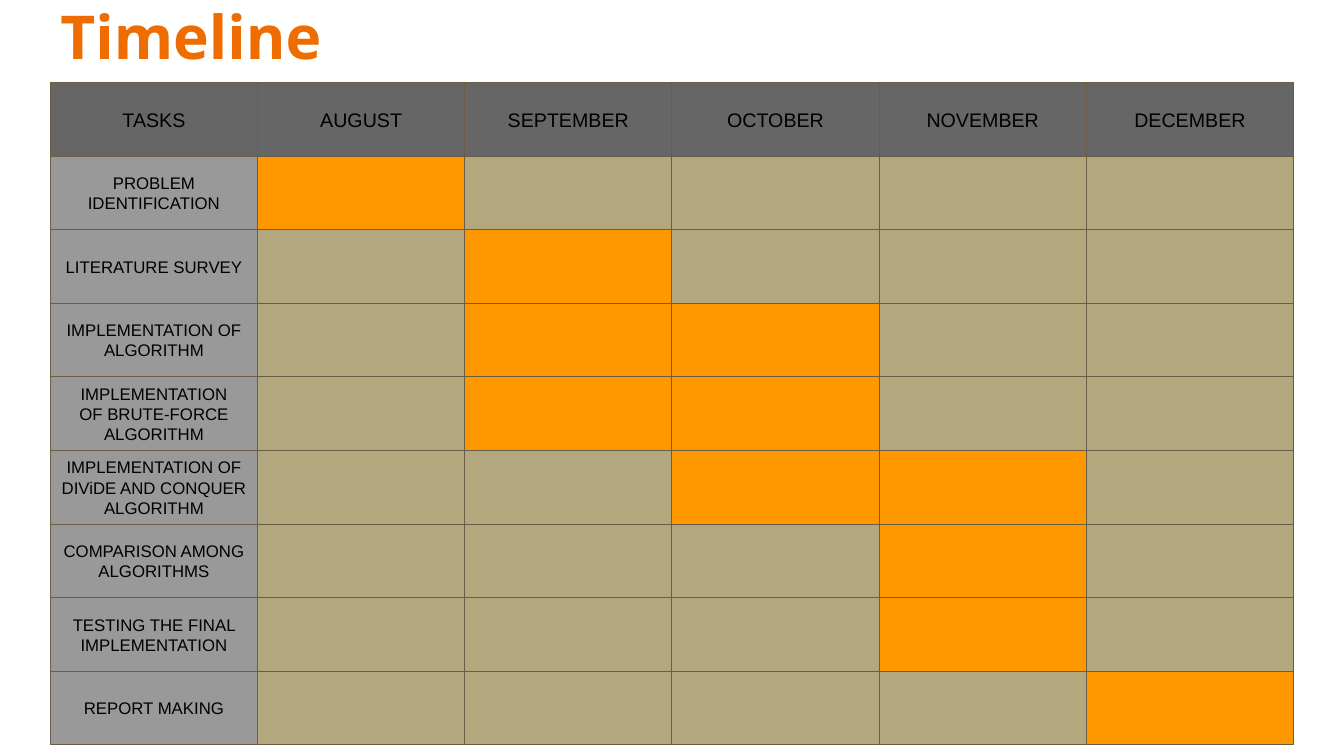
from dataclasses import dataclass

from pptx import Presentation
from pptx.dml.color import RGBColor as Rgb
from pptx.enum.shapes import MSO_SHAPE as Shape
from pptx.enum.text import MSO_ANCHOR as Anchor, PP_ALIGN as Align
from pptx.util import Inches, Pt


@dataclass(frozen=True)
class Theme:
    """Colours, fonts and type sizes of the slide."""
    title: str = "EF6C00"
    head: str = "666666"
    task: str = "999999"
    busy: str = "FF9800"
    idle: str = "B3A77D"
    edge: str = "695D46"
    ink: str = "000000"
    title_font: str = "Open Sans"
    font: str = "Arial"
    title_size: float = 43.2
    head_size: float = 14
    task_size: float = 12
    edge_width: float = 0.75


THEME = Theme()
LEFT, TOP = 0.5, 0.82
WIDTH, HEIGHT = 12.33, 0.73
HEADS = ["TASKS", "AUGUST", "SEPTEMBER", "OCTOBER", "NOVEMBER", "DECEMBER"]
TASKS = [
    ("PROBLEM IDENTIFICATION", {"AUGUST"}),
    ("LITERATURE SURVEY", {"SEPTEMBER"}),
    ("IMPLEMENTATION OF ALGORITHM", {"SEPTEMBER", "OCTOBER"}),
    ("IMPLEMENTATION\nOF BRUTE-FORCE ALGORITHM", {"SEPTEMBER", "OCTOBER"}),
    ("IMPLEMENTATION OF DIViDE AND CONQUER ALGORITHM", {"OCTOBER", "NOVEMBER"}),
    ("COMPARISON AMONG ALGORITHMS", {"NOVEMBER"}),
    ("TESTING THE FINAL IMPLEMENTATION", {"NOVEMBER"}),
    ("REPORT MAKING", {"DECEMBER"}),
]


def assign(target, values):
    """Set each named attribute on the target."""
    for name, value in values.items():
        setattr(target, name, value)


def write(shape, text, side, align, font):
    """Put formatted text in a shape, with equal opposite margins."""
    frame = shape.text_frame
    assign(frame, {
        "text": text, "word_wrap": True, "vertical_anchor": Anchor.MIDDLE,
        "margin_left": Inches(0.1), "margin_right": Inches(0.1),
        "margin_top": Inches(side), "margin_bottom": Inches(side),
    })
    color = Rgb.from_string(font["color"])
    for par in frame.paragraphs:
        par.alignment = align
        for run in par.runs:
            assign(run.font, {"name": font["name"], "size": Pt(font["size"]),
                              "bold": font["bold"]})
            run.font.color.rgb = color


def add_cell(slide, row, col, fill, text="", size=THEME.task_size):
    """Draw one grid cell, with a centred label if there is one."""
    wide = WIDTH / len(HEADS)
    cell = slide.shapes.add_shape(
        Shape.RECTANGLE, Inches(LEFT + col * wide), Inches(TOP + row * HEIGHT),
        Inches(wide), Inches(HEIGHT))
    cell.shadow.inherit = False
    cell.fill.solid()
    cell.fill.fore_color.rgb = Rgb.from_string(fill)
    cell.line.color.rgb = Rgb.from_string(THEME.edge)
    cell.line.width = Pt(THEME.edge_width)
    if text:
        write(cell, text, 0.1, Align.CENTER, {
            "name": THEME.font, "size": size, "color": THEME.ink, "bold": False})


def add_title(slide, text):
    """Write the slide title."""
    box = slide.shapes.add_textbox(
        Inches(LEFT), Inches(0.14), Inches(11.62), Inches(0.51))
    write(box, text, 0.05, Align.LEFT, {
        "name": THEME.title_font, "size": THEME.title_size,
        "color": THEME.title, "bold": True})
    box.text_frame.paragraphs[0].line_spacing = 0.9


def add_task(slide, row, label, months):
    """Draw a task label and its month cells."""
    add_cell(slide, row, 0, THEME.task, label)
    for col, month in enumerate(HEADS[1:], 1):
        add_cell(slide, row, col, THEME.busy if month in months else THEME.idle)


def main():
    """Build the timeline slide and save it."""
    deck = Presentation()
    assign(deck, {"slide_width": Inches(13.33), "slide_height": Inches(7.5)})
    slide = deck.slides.add_slide(deck.slide_layouts[6])
    for row, (label, months) in enumerate(TASKS, 1):
        add_task(slide, row, label, months)
    for col, head in enumerate(HEADS):
        add_cell(slide, 0, col, THEME.head, head, THEME.head_size)
    add_title(slide, "Timeline")
    deck.save("out.pptx")


if __name__ == "__main__":
    main()
